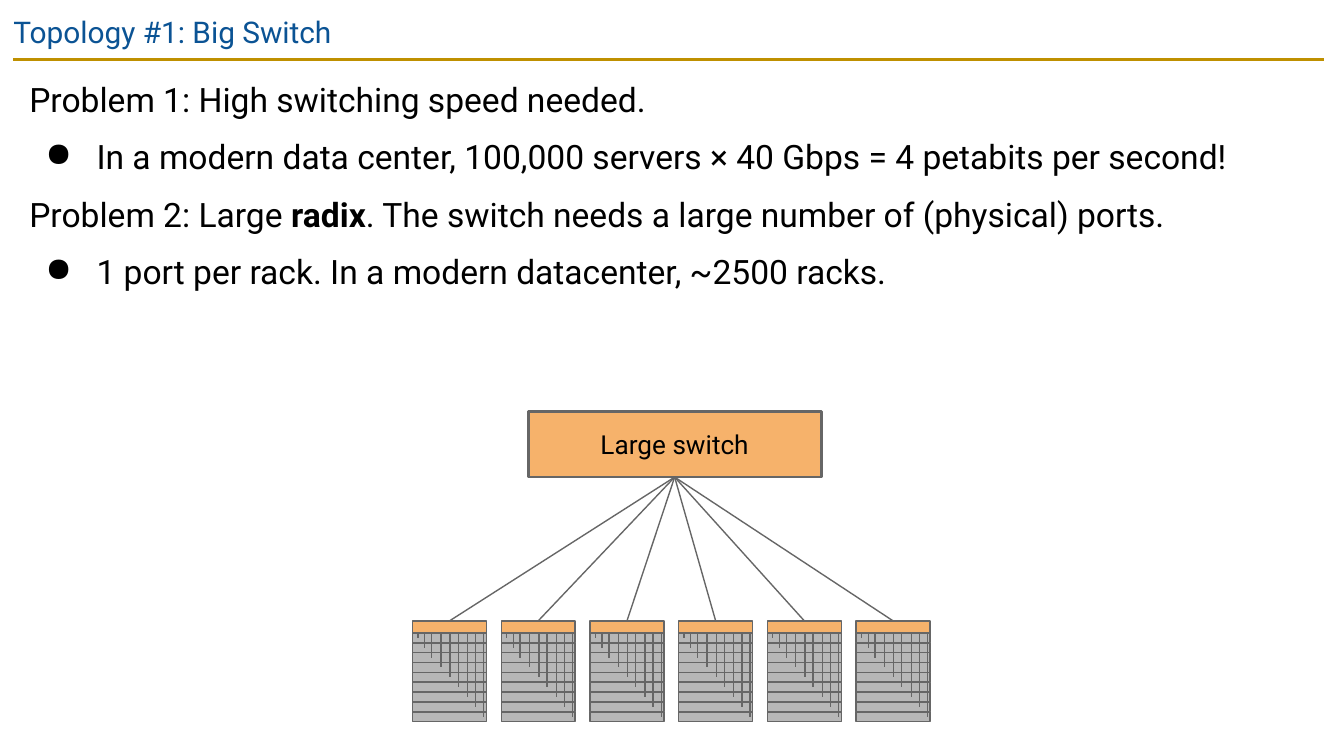
from lxml.etree import SubElement
from pptx import Presentation
from pptx.dml.color import RGBColor
from pptx.enum.shapes import MSO_CONNECTOR, MSO_SHAPE
from pptx.enum.text import MSO_ANCHOR, MSO_AUTO_SIZE, PP_ALIGN
from pptx.oxml.ns import qn
from pptx.util import Inches, Pt

BLACK = RGBColor(0x00, 0x00, 0x00)
BLUE = RGBColor(0x0B, 0x53, 0x94)
GOLD = RGBColor(0xBF, 0x90, 0x00)
ORANGE = RGBColor(0xF6, 0xB2, 0x6B)
LIGHT_GRAY = RGBColor(0xB7, 0xB7, 0xB7)
DARK_GRAY = RGBColor(0x66, 0x66, 0x66)
FONT_NAME = "Roboto"

RACK_COUNT = 6
RACK_PITCH = 0.66
RACK_WIDTH = 0.55
RACK_HEIGHT = 0.75
TOP_HEIGHT = 0.09
CABLE_OFFSETS = (0.04, 0.09, 0.14, 0.21, 0.28, 0.34, 0.41, 0.47, 0.53)

BODY = (
    (False, (("Problem 1: High switching speed needed.", False),)),
    (True, (("In a modern data center, 100,000 servers × 40 Gbps = 4 petabits per second!", False),)),
    (False, (
        ("Problem 2: Large ", False),
        ("radix", True),
        (". The switch needs a large number of (physical) ports.", False),
    )),
    (True, (("1 port per rack. In a modern datacenter, ~2500 racks.", False),)),
)


def set_font(font, size, color, bold=False):
    values = {"name": FONT_NAME, "size": Pt(size), "bold": bold}
    for name, value in values.items():
        setattr(font, name, value)
    font.color.rgb = color


def set_frame(frame, anchor):
    values = {
        "margin_left": Inches(0.1),
        "margin_right": Inches(0.1),
        "margin_top": Inches(0.1),
        "margin_bottom": Inches(0.1),
        "word_wrap": True,
        "auto_size": MSO_AUTO_SIZE.NONE,
        "vertical_anchor": anchor,
    }
    for name, value in values.items():
        setattr(frame, name, value)


def add_line(shapes, start, end, color=DARK_GRAY, width=0.75):
    points = [Inches(value) for value in (*start, *end)]
    connector = shapes.add_connector(MSO_CONNECTOR.STRAIGHT, *points)
    connector.line.color.rgb = color
    connector.line.width = Pt(width)
    SubElement(connector._element.spPr, qn("a:effectLst"))


def add_rectangle(shapes, box, fill, line_width=0.75):
    shape = shapes.add_shape(MSO_SHAPE.RECTANGLE, *map(Inches, box))
    shape.shadow.inherit = False
    shape.fill.solid()
    shape.fill.fore_color.rgb = fill
    shape.line.color.rgb = DARK_GRAY
    shape.line.width = Pt(line_width)
    return shape


def add_title(slide, box):
    title = slide.shapes.title
    title.left, title.top, title.width, title.height = map(Inches, box)
    set_frame(title.text_frame, MSO_ANCHOR.TOP)
    paragraph = title.text_frame.paragraphs[0]
    paragraph.text = "Topology #1: Big Switch"
    paragraph.alignment = PP_ALIGN.LEFT
    set_font(paragraph.runs[0].font, 16, BLUE)
    left, top, width, height = box
    rule_top = top + height + 0.01
    add_line(slide.shapes, (left + 0.1, rule_top), (left + width - 0.15, rule_top), GOLD, 1.5)


def add_bullet(paragraph):
    properties = paragraph._p.get_or_add_pPr()
    properties.set("marL", str(Inches(0.5)))
    properties.set("indent", str(Inches(-0.38)))
    color = SubElement(properties, qn("a:buClr"))
    SubElement(color, qn("a:srgbClr")).set("val", str(BLACK))
    SubElement(properties, qn("a:buChar")).set("char", "●")


def add_body(slide, box):
    frame = slide.shapes.add_textbox(*map(Inches, box)).text_frame
    set_frame(frame, MSO_ANCHOR.TOP)
    for index, (bulleted, runs) in enumerate(BODY):
        paragraph = frame.add_paragraph() if index else frame.paragraphs[0]
        if bulleted:
            add_bullet(paragraph)
        paragraph.line_spacing = 1.15
        paragraph.space_before = Pt(6 if index else 0)
        for text, bold in runs:
            run = paragraph.add_run()
            run.text = text
            set_font(run.font, 18, BLACK, bold)


def add_switch(slide, box):
    switch = add_rectangle(slide.shapes, box, ORANGE, 1.5)
    set_frame(switch.text_frame, MSO_ANCHOR.MIDDLE)
    paragraph = switch.text_frame.paragraphs[0]
    paragraph.text = "Large switch"
    paragraph.alignment = PP_ALIGN.CENTER
    set_font(paragraph.runs[0].font, 14, BLACK)


def add_rack(slide, box):
    left, top, width, height = box
    shapes = slide.shapes.add_group_shape().shapes
    servers_top = top + TOP_HEIGHT
    server_height = (height - TOP_HEIGHT) / len(CABLE_OFFSETS)
    for row in range(len(CABLE_OFFSETS)):
        server_top = servers_top + row * server_height
        add_rectangle(shapes, (left, server_top, width, server_height), LIGHT_GRAY)
    add_rectangle(shapes, (left, top, width, TOP_HEIGHT), ORANGE)
    for row, offset in enumerate(CABLE_OFFSETS):
        cable_end = servers_top + (row + 0.5) * server_height
        add_line(shapes, (left + offset, servers_top), (left + offset, cable_end))


def add_topology(slide, box):
    left, top, width, height = box
    switch_left, switch_width, switch_height = left + 0.86, 2.18, 0.49
    add_switch(slide, (switch_left, top, switch_width, switch_height))
    hub = (switch_left + switch_width / 2, top + switch_height)
    rack_top = top + height - RACK_HEIGHT
    for index in range(RACK_COUNT):
        rack_left = left + index * RACK_PITCH
        add_rack(slide, (rack_left, rack_top, RACK_WIDTH, RACK_HEIGHT))
        add_line(slide.shapes, (rack_left + RACK_WIDTH / 2, rack_top), hub)


def main():
    presentation = Presentation()
    presentation.slide_width = Inches(10)
    presentation.slide_height = presentation.slide_width * 9 // 16
    slide = presentation.slides.add_slide(presentation.slide_layouts[5])
    add_title(slide, (0, 0, 10, 0.43))
    add_topology(slide, (3.07, 3.06, 3.85, 2.31))
    add_body(slide, (0.12, 0.44, 9.74, 2.37))
    presentation.save("out.pptx")


if __name__ == "__main__":
    main()
